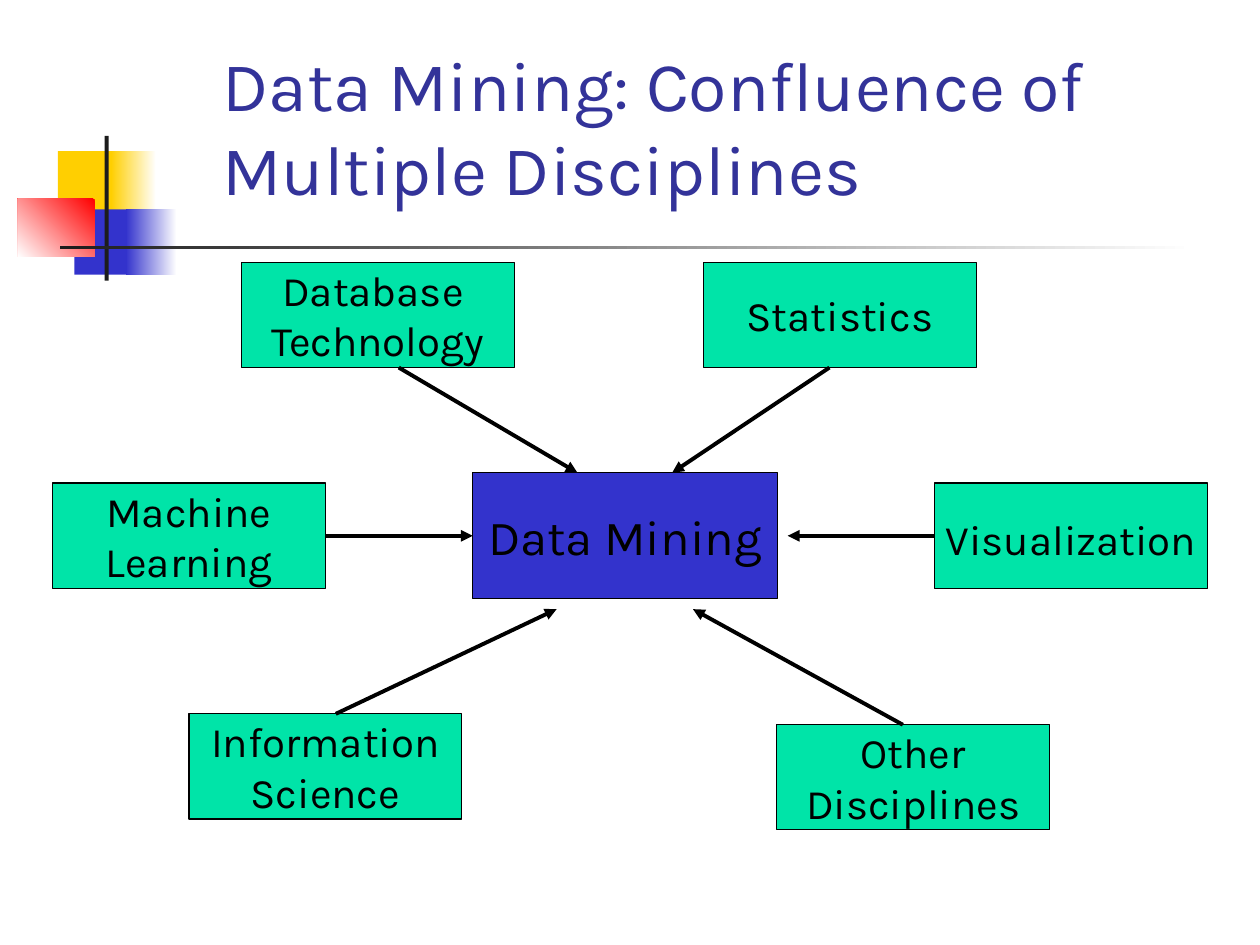
import pptx
import pptx.dml.color
import pptx.enum.shapes
import pptx.enum.text
import pptx.oxml.ns
import pptx.util
from lxml import etree

Cm = pptx.util.Cm
Pt = pptx.util.Pt

FONT = "Karla"
COLORS = {
    "title": "333399",
    "text": "000000",
    "hub": "3333CC",
    "discipline": "00E4A8",
    "white": "FFFFFF",
    "yellow": "FFCF01",
    "blue": "3333CC",
    "red": "FF0000",
    "bar": "1C1C1C",
}
BOX_W, BOX_H = 5.5, 2.12
HUB = (9.53, 9.53, 6.14, 2.54)
TOP_Y, MIDDLE_Y = 5.29, 9.74
ARROW_Y = 10.8

DECORATION = [
    ((1.17, 3.05, 1.22, 1.32), ["yellow"], 0),
    ((2.24, 3.05, 0.91, 1.32), ["white", "yellow"], 180),
    ((1.5, 4.22, 1.17, 1.32), ["blue"], 0),
    ((2.54, 4.22, 1.02, 1.32), ["white", "blue"], 180),
    ((0.36, 4.01, 1.55, 1.17), ["red", "white"], 225),
    ((2.11, 2.74, 0.08, 2.92), ["bar"], 0),
    ((1.22, 4.95, 22.86, 0.08), ["white", "bar"], 180),
]

DISCIPLINES = [
    (["Database ", "Technology"], (4.87, TOP_Y), (8.04, 7.41), (11.64, 9.53)),
    (["Statistics"], (14.18, TOP_Y), (16.72, 7.41), (13.55, 9.53)),
    (["Other", "Disciplines"], (15.66, 14.61), (18.2, 14.61), (13.97, 12.28)),
    (["Information", "Science"], (3.81, 14.39), (6.77, 14.39), (11.22, 12.28)),
    (["Machine", "Learning"], (1.06, MIDDLE_Y), (6.56, ARROW_Y), (9.53, ARROW_Y)),
    (["Visualization"], (18.84, MIDDLE_Y), (18.84, ARROW_Y), (15.88, ARROW_Y)),
]


def rgb(name):
    return pptx.dml.color.RGBColor.from_string(COLORS[name])


def style_font(p, size, color):
    p.font.name = FONT
    p.font.size = Pt(size)
    p.font.color.rgb = rgb(color)


def add_rect(slide, box, colors, angle=0):
    sp = slide.shapes.add_shape(
        pptx.enum.shapes.MSO_SHAPE.RECTANGLE, *(Cm(v) for v in box))
    sp.shadow.inherit = False
    sp.line.fill.background()
    if len(colors) == 1:
        sp.fill.solid()
        sp.fill.fore_color.rgb = rgb(colors[0])
    else:
        sp.fill.gradient()
        sp.fill.gradient_angle = angle
        for stop, color in zip(sp.fill.gradient_stops, colors):
            stop.color.rgb = rgb(color)
    return sp


def add_label_box(slide, lines, box, color, size):
    sp = add_rect(slide, box, [color])
    sp.line.color.rgb = rgb("text")
    sp.line.width = Pt(0.75)
    tf = sp.text_frame
    tf.word_wrap = False
    tf.vertical_anchor = pptx.enum.text.MSO_ANCHOR.MIDDLE
    tf.text = "\n".join(lines)
    for p in tf.paragraphs:
        p.alignment = pptx.enum.text.PP_ALIGN.CENTER
        style_font(p, size, "text")
    return sp


def add_arrow(slide, start, end):
    line = slide.shapes.add_connector(
        pptx.enum.shapes.MSO_CONNECTOR.STRAIGHT,
        *(Cm(v) for v in start + end))
    line.line.color.rgb = rgb("text")
    line.line.width = Pt(2.25)
    ln = line.line._get_or_add_ln()
    etree.SubElement(ln, pptx.oxml.ns.qn("a:tailEnd"), type="triangle")
    etree.SubElement(line._element.spPr, pptx.oxml.ns.qn("a:effectLst"))
    return line


def add_title(slide, text):
    sp = slide.shapes.add_textbox(Cm(4.24), Cm(0.84), Cm(20.75), Cm(3.38))
    tf = sp.text_frame
    tf.word_wrap = True
    tf.vertical_anchor = pptx.enum.text.MSO_ANCHOR.MIDDLE
    tf.text = text
    style_font(tf.paragraphs[0], 40, "title")


def main():
    prs = pptx.Presentation()
    prs.slide_width, prs.slide_height = Cm(25.4), Cm(19.05)
    slide = prs.slides.add_slide(prs.slide_layouts[6])

    for box, colors, angle in DECORATION:
        add_rect(slide, box, colors, angle)
    add_title(slide, "Data Mining: Confluence of Multiple Disciplines")

    hub = add_label_box(slide, ["Data Mining"], HUB, "hub", 28)
    boxes = {}
    for lines, corner, _, _ in DISCIPLINES:
        boxes[lines[0]] = add_label_box(
            slide, lines, corner + (BOX_W, BOX_H), "discipline", 24)
    boxes["Visualization"].text_frame.paragraphs[0].line_spacing = 1.1

    arrows = {lines[0]: add_arrow(slide, start, end)
              for lines, _, start, end in DISCIPLINES}
    arrows["Machine"].begin_connect(boxes["Machine"], 3)
    arrows["Machine"].end_connect(hub, 1)
    arrows["Visualization"].begin_connect(boxes["Visualization"], 1)

    prs.save("out.pptx")


if __name__ == "__main__":
    main()
